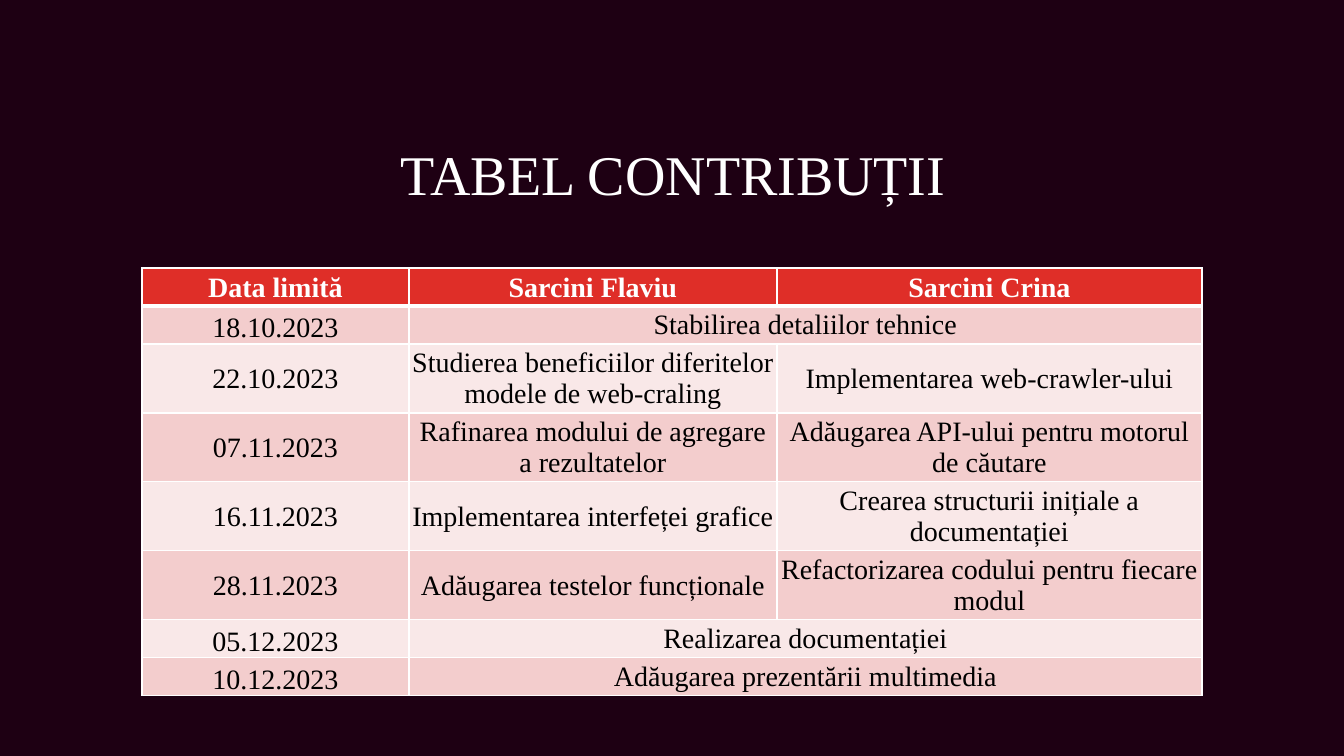
from dataclasses import dataclass

from lxml import etree
from pptx import Presentation
from pptx.dml.color import RGBColor
from pptx.enum.text import MSO_ANCHOR, MSO_AUTO_SIZE, PP_ALIGN
from pptx.oxml.ns import qn
from pptx.util import Emu, Pt

CENTER = PP_ALIGN.CENTER
MIDDLE, BOTTOM = MSO_ANCHOR.MIDDLE, MSO_ANCHOR.BOTTOM
NO_AUTOFIT = MSO_AUTO_SIZE.NONE
TITLE_ONLY = 5


@dataclass(frozen=True)
class Theme:
    font: str = "Times New Roman"
    title_size: int = 40
    table_size: int = 20
    background: str = "1E0013"
    light: str = "FFFFFF"
    dark: str = "000000"
    header: str = "DF2E28"
    bands: tuple = ("F3CDCD", "F9E8E8")
    thin_line: int = 1
    thick_line: int = 3


THEME = Theme()

HEADINGS = ("Data limită", "Sarcini Flaviu", "Sarcini Crina")
# A row with a single task is shared by both people
TASKS = (
    ("18.10.2023", "Stabilirea detaliilor tehnice"),
    ("22.10.2023", "Studierea beneficiilor diferitelor modele de web-craling",
     "Implementarea web-crawler-ului"),
    ("07.11.2023", "Rafinarea modului de agregare a rezultatelor",
     "Adăugarea API-ului pentru motorul de căutare"),
    ("16.11.2023", "Implementarea interfeței grafice",
     "Crearea structurii inițiale a documentației"),
    ("28.11.2023", "Adăugarea testelor funcționale",
     "Refactorizarea codului pentru fiecare modul"),
    ("05.12.2023", "Realizarea documentației"),
    ("10.12.2023", "Adăugarea prezentării multimedia"),
)
COLUMN_WIDTHS = (267, 368, 425)
SHORT_ROW, TALL_ROW = 38, 69


def px(length):
    return Emu(round(length * 914400 / 100.8))


def write_text(frame, text, size, color, bold=False, line_spacing=None):
    para = frame.paragraphs[0]
    para.alignment = CENTER
    para.line_spacing = line_spacing
    span = para.add_run()
    span.text = text
    span.font.name = THEME.font
    span.font.size = Pt(size)
    span.font.bold = bold
    span.font.color.rgb = RGBColor.from_string(color)


def draw_borders(cell, top, bottom):
    properties = cell._tc.get_or_add_tcPr()
    widths = {"a:lnL": THEME.thin_line, "a:lnR": THEME.thin_line,
              "a:lnT": top, "a:lnB": bottom}
    for tag, width in widths.items():
        line = etree.SubElement(properties, qn(tag), w=str(Pt(width)))
        fill = etree.SubElement(line, qn("a:solidFill"))
        etree.SubElement(fill, qn("a:srgbClr"), val=THEME.light)


def format_cell(cell, fill, anchor, top, bottom):
    draw_borders(cell, top, bottom)
    cell.fill.solid()
    cell.fill.fore_color.rgb = RGBColor.from_string(fill)
    cell.vertical_anchor = anchor
    cell.margin_left = cell.margin_right = cell.margin_top = px(1)
    cell.margin_bottom = 0


def add_title(page, box):
    title = page.shapes.title
    title.left, title.top, title.width, title.height = map(px, box)
    frame = title.text_frame
    frame.word_wrap = True
    frame.auto_size = NO_AUTOFIT
    frame.vertical_anchor = MIDDLE
    write_text(frame, "TABEL CONTRIBUȚII", THEME.title_size, THEME.light,
               line_spacing=0.9)


def add_task_table(page, box):
    rows = (HEADINGS,) + TASKS
    table = page.shapes.add_table(
        len(rows), len(HEADINGS), *map(px, box)).table
    for column, width in zip(table.columns, COLUMN_WIDTHS):
        column.width = px(width)

    for row_index, texts in enumerate(rows):
        is_header = row_index == 0
        is_shared = len(texts) < len(HEADINGS)
        short = is_header or is_shared
        table.rows[row_index].height = px(SHORT_ROW if short else TALL_ROW)

        # Fills and borders, with a thick rule under the header
        fill = THEME.header if is_header else THEME.bands[(row_index - 1) % 2]
        top = THEME.thick_line if row_index == 1 else THEME.thin_line
        bottom = THEME.thick_line if is_header else THEME.thin_line
        for column_index in range(len(HEADINGS)):
            is_shared_date = is_shared and column_index == 0
            format_cell(table.cell(row_index, column_index), fill,
                        BOTTOM if is_shared_date else MIDDLE, top, bottom)
        if is_shared:
            table.cell(row_index, 1).merge(table.cell(row_index, 2))

        # Wording
        color = THEME.light if is_header else THEME.dark
        for column_index, text in enumerate(texts):
            write_text(table.cell(row_index, column_index).text_frame, text,
                       THEME.table_size, color, bold=is_header)


def build_contributions_page(deck):
    page = deck.slides.add_slide(deck.slide_layouts[TITLE_ONLY])
    page.background.fill.solid()
    page.background.fill.fore_color.rgb = RGBColor.from_string(THEME.background)
    add_title(page, (198, 106, 950, 142))
    add_task_table(page, (142, 268, 1060, 428))


def main():
    deck = Presentation()
    deck.slide_width, deck.slide_height = px(1344), px(756)
    build_contributions_page(deck)
    deck.save("out.pptx")


if __name__ == "__main__":
    main()
